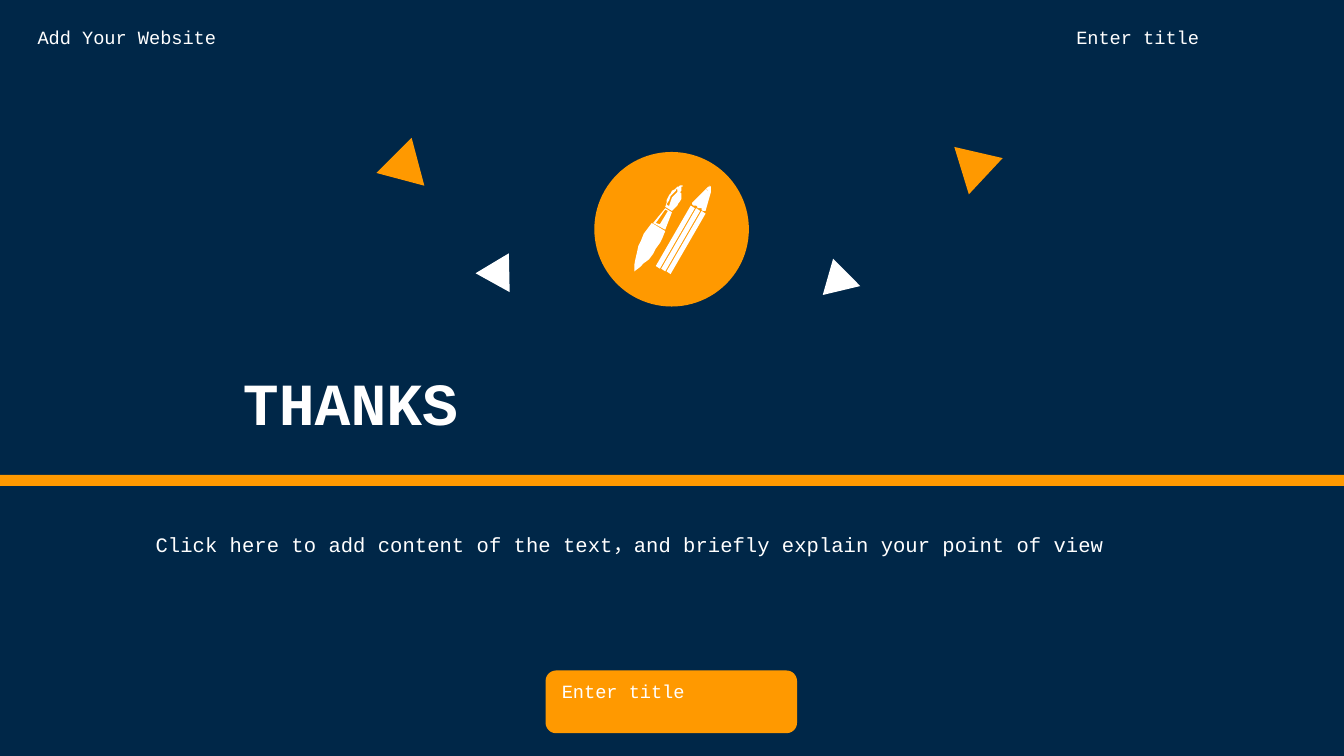
"""Build a closing thank-you slide with a brush-and-pencil badge."""
from dataclasses import dataclass

from pptx import Presentation
from pptx.dml.color import RGBColor
from pptx.enum.shapes import MSO_SHAPE
from pptx.enum.text import MSO_ANCHOR, PP_ALIGN
from pptx.util import Pt

RECTANGLE = MSO_SHAPE.RECTANGLE
ROUNDED = MSO_SHAPE.ROUNDED_RECTANGLE
OVAL = MSO_SHAPE.OVAL
TRIANGLE = MSO_SHAPE.ISOSCELES_TRIANGLE
TOP = MSO_ANCHOR.TOP
LEFT = PP_ALIGN.LEFT
JUSTIFY = PP_ALIGN.JUSTIFY


@dataclass(frozen=True)
class Theme:
    navy: RGBColor = RGBColor(0x00, 0x27, 0x48)
    orange: RGBColor = RGBColor(0xFF, 0x99, 0x00)
    white: RGBColor = RGBColor(0xFF, 0xFF, 0xFF)
    font: str = "Courier New"
    heading: int = 32
    body: int = 11
    label: int = 10


THEME = Theme()
SLIDE_SIZE = (720, 405)

TEXTS = [
    ("THANKS", (123.1, 192.2, 473, 45.4), THEME.heading, True, JUSTIFY, 1),
    ("Click here to add content of the text，and briefly explain your point of view",
     (76.3, 275, 567.4, 46.8), THEME.body, False, LEFT, 1.5),
    ("Add Your Website", (13, 10.1, 137.5, 20.2), THEME.label, False, JUSTIFY, 1),
    ("Enter title", (569.5, 10.1, 136.8, 29.5), THEME.label, False, LEFT, 1),
]
BAR = (0, 254.4, 720, 6)
BUTTON_TEXT = "Enter title"
BUTTON = (292.3, 359.2, 134.7, 33.6)
BADGE = (318.4, 81.4, 82.8, 82.8)
TRIANGLES = [
    ((205.9, 79.9, 26.6, 23), 135, THEME.orange),
    ((257.8, 134.6, 20.9, 18), 29, THEME.white),
    ((508.3, 81.4, 26.6, 23), 193, THEME.orange),
    ((442.1, 141.8, 20.2, 18), 106, THEME.white),
]

ICON_ORIGIN = (339.84, 99.36)
ICON_UNIT = 0.72
ICON_OUTLINES = {
    "brush handle": [
        (13, 28), (23, 34), (21, 39), (19, 43), (16, 47), (14, 51), (11, 55), (7, 58),
        (4, 61), (0, 64), (0, 59), (1, 54), (2, 50), (3, 45), (5, 41), (7, 36), (10, 32)],
    "pencil right stripe": [(53, 21), (27, 66), (24, 64), (50, 19)],
    "pencil lead": [
        (57, 5), (54, 3), (53, 3), (54, 2), (55, 1), (56, 1), (56, 0), (57, 1), (57, 2)],
    "pencil cone": [
        (43, 13), (43, 14), (44, 15), (46, 15), (47, 16), (47, 17), (50, 17), (50, 18),
        (51, 19), (53, 19), (57, 5), (53, 3)],
    "pencil left stripe": [(45, 17), (42, 15), (16, 60), (19, 62)],
    "pencil middle stripe": [(49, 19), (46, 17), (20, 62), (23, 64)],
    "brush head": [
        (23, 16), (24, 13), (24, 11), (25, 9), (26, 7), (27, 6), (28, 4), (30, 3),
        (31, 2), (32, 1), (33, 1), (34, 0), (36, 0), (36, 1), (35, 1), (35, 4), (34, 5),
        (35, 6), (35, 10), (34, 12), (33, 13), (32, 15), (31, 16), (29, 18), (28, 19)],
    "brush head highlight": [
        (31, 4), (31, 3), (32, 3), (32, 5), (30, 7), (28, 9), (27, 12), (26, 15),
        (25, 15), (24, 14), (26, 11), (27, 8), (29, 6)],
    "ferrule": [(14, 28), (23, 33), (28, 20), (23, 17)],
    "ferrule slot": [(16, 28), (19, 29), (25, 19), (23, 18)],
}


def points(values):
    return [Pt(value) for value in values]


def paint(shape, color):
    shape.shadow.inherit = False
    shape.fill.solid()
    shape.fill.fore_color.rgb = color
    shape.line.fill.background()


def add_filled(shapes, kind, box, color):
    shape = shapes.add_shape(kind, *points(box))
    paint(shape, color)
    return shape


def write(shape, text, size, bold=False, alignment=LEFT, spacing=1):
    frame = shape.text_frame
    frame.word_wrap = True
    frame.vertical_anchor = TOP
    paragraph = frame.paragraphs[0]
    paragraph.alignment = alignment
    paragraph.line_spacing = spacing
    run = paragraph.add_run()
    run.text = text
    run.font.name = THEME.font
    run.font.size = Pt(size)
    run.font.bold = bold
    run.font.color.rgb = THEME.white


def add_icon(shapes):
    first, *others = ICON_OUTLINES.values()
    builder = shapes.build_freeform(*first[0], scale=Pt(ICON_UNIT))
    builder.add_line_segments(first[1:], close=True)
    for outline in others:
        builder.move_to(*outline[0])
        builder.add_line_segments(outline[1:], close=True)
    paint(builder.convert_to_shape(*points(ICON_ORIGIN)), THEME.white)


def main():
    presentation = Presentation()
    presentation.slide_width, presentation.slide_height = points(SLIDE_SIZE)
    slide = presentation.slides.add_slide(presentation.slide_layouts[6])
    slide.background.fill.solid()
    slide.background.fill.fore_color.rgb = THEME.navy

    add_filled(slide.shapes, RECTANGLE, BAR, THEME.orange)
    for text, box, size, bold, alignment, spacing in TEXTS:
        textbox = slide.shapes.add_textbox(*points(box))
        write(textbox, text, size, bold, alignment, spacing)

    button = add_filled(slide.shapes, ROUNDED, BUTTON, THEME.orange)
    write(button, BUTTON_TEXT, THEME.label)

    badge = slide.shapes.add_group_shape()
    add_filled(badge.shapes, OVAL, BADGE, THEME.orange)
    add_icon(badge.shapes)

    for box, rotation, color in TRIANGLES:
        add_filled(slide.shapes, TRIANGLE, box, color).rotation = rotation

    presentation.save("out.pptx")


if __name__ == "__main__":
    main()
